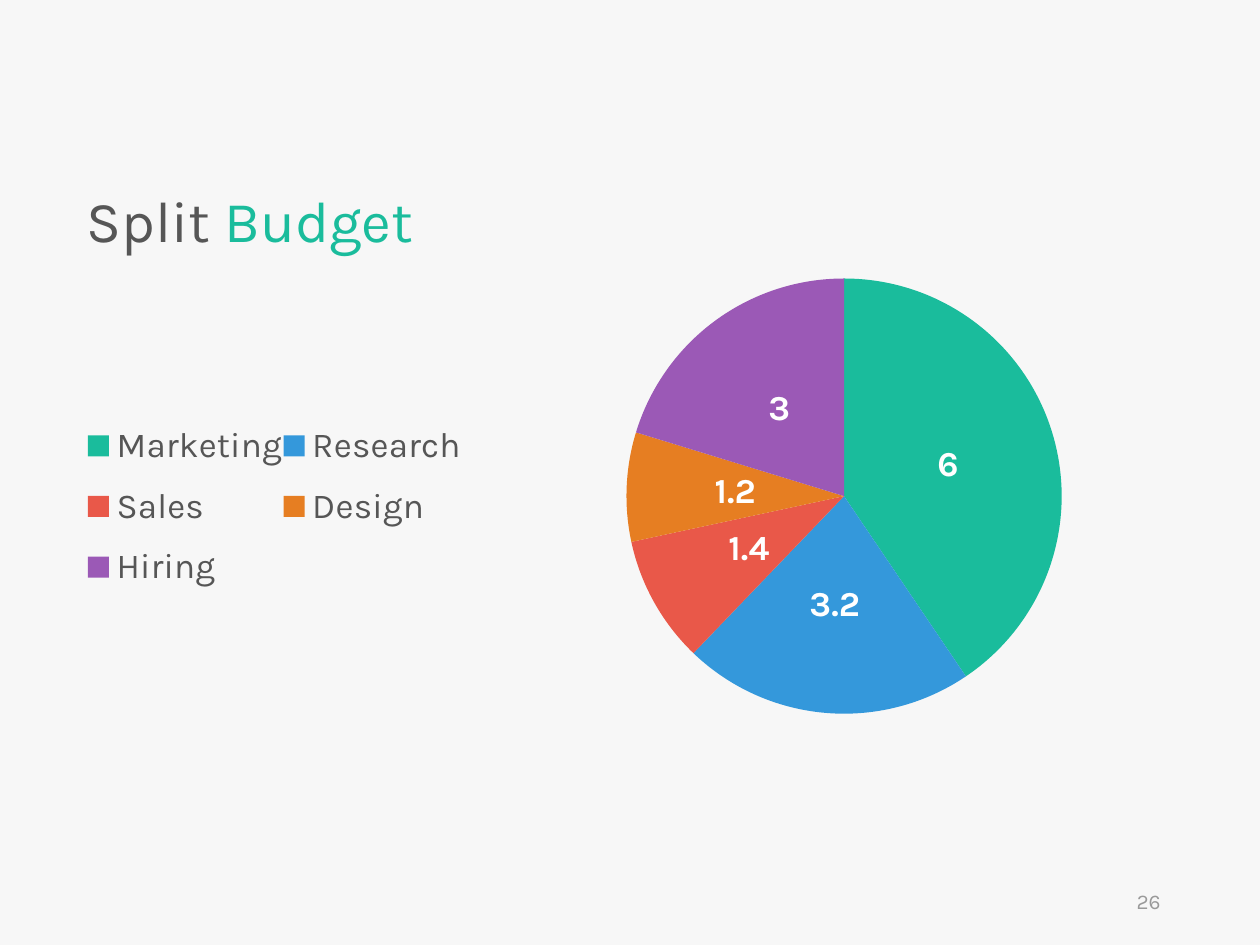
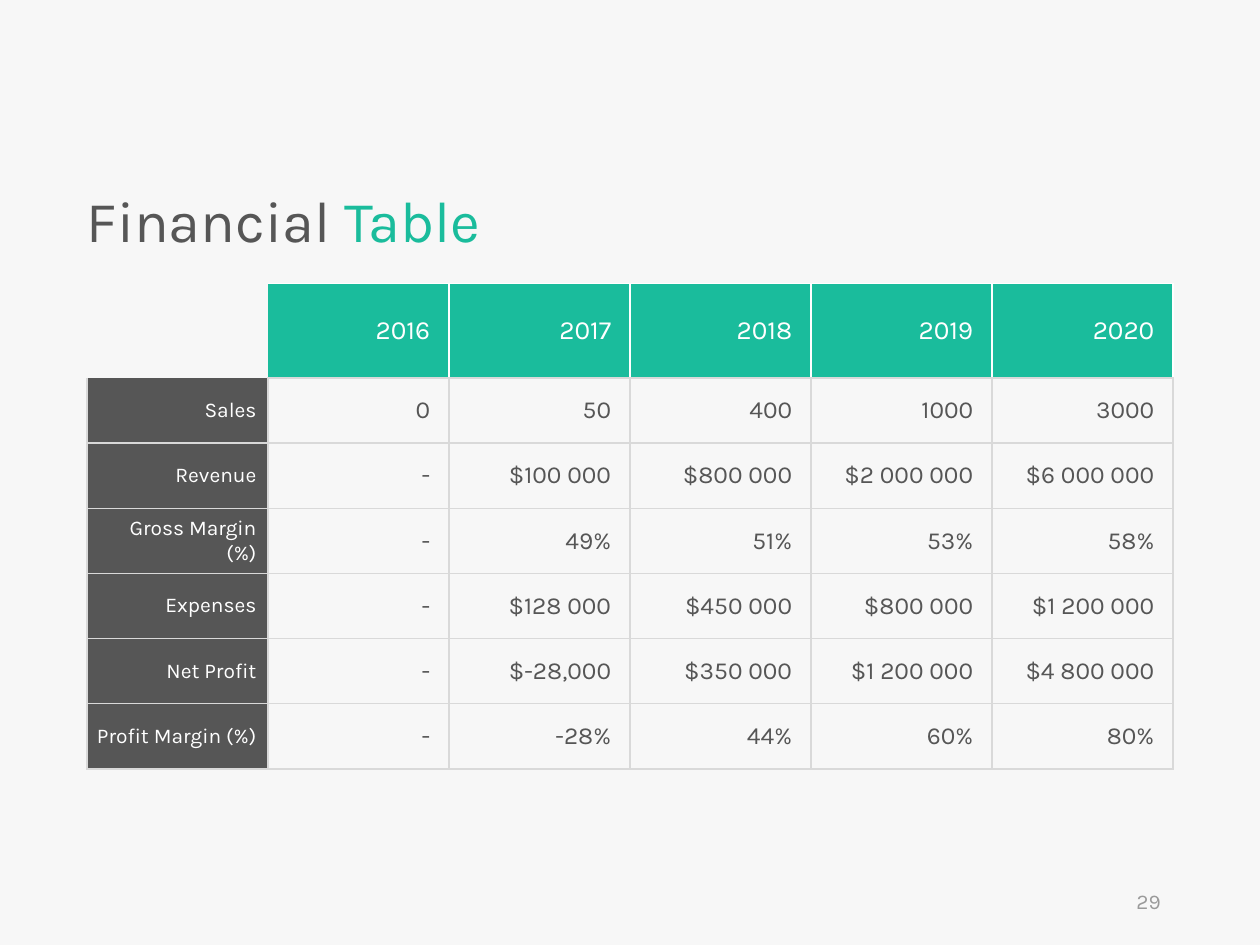
from lxml import etree
from pptx import Presentation
from pptx.chart.data import CategoryChartData
from pptx.dml.color import RGBColor
from pptx.enum.chart import XL_CHART_TYPE, XL_LABEL_POSITION, XL_LEGEND_POSITION
from pptx.enum.text import MSO_ANCHOR, MSO_AUTO_SIZE, PP_ALIGN
from pptx.oxml.ns import qn
from pptx.util import Cm, Pt

PIE = XL_CHART_TYPE.PIE
LABEL_CENTER = XL_LABEL_POSITION.CENTER
LEGEND_BOTTOM = XL_LEGEND_POSITION.BOTTOM
MIDDLE = MSO_ANCHOR.MIDDLE
GROW = MSO_AUTO_SIZE.SHAPE_TO_FIT_TEXT
RIGHT = PP_ALIGN.RIGHT

FONT = "Karla"
COLORS = {
    "background": "F7F7F7",
    "text": "565656",
    "accent": "1ABC9C",
    "blue": "3498DB",
    "red": "E95849",
    "orange": "E67E22",
    "purple": "9B59B6",
    "white": "FFFFFF",
    "grid": "D9D9D9",
    "page": "9A9A9A",
}

# Boxes: left, top, width, height in centimetres
TITLE_BOX = (1.75, 3.76, 9.35, 1.52)
PAGE_BOX = (17.93, 17.65, 5.72, 1.02)
CHART_BOX = (1.75, 5.61, 23.65, 10.11)
TABLE_BOX = (1.75, 5.72, 21.9, 9.78)
HEADER_HEIGHT = 1.9

# Fractions of the chart box: x, y, width, height
PLOT_LAYOUT = (0.46, 0, 0.371, 0.869)
LEGEND_LAYOUT = (0, 0.255, 0.32, 0.4)

BUDGET = [
    ("Marketing", 6, "accent"),
    ("Research", 3.2, "blue"),
    ("Sales", 1.4, "red"),
    ("Design", 1.2, "orange"),
    ("Hiring", 3, "purple"),
]

FINANCES = [
    ["", "2016", "2017", "2018", "2019", "2020"],
    ["Sales", "0", "50", "400", "1000", "3000"],
    ["Revenue", "-", "$100 000", "$800 000", "$2 000 000", "$6 000 000"],
    ["Gross Margin (%)", "-", "49%", "51%", "53%", "58%"],
    ["Expenses", "-", "$128 000", "$450 000", "$800 000", "$1 200 000"],
    ["Net Profit", "-", "$-28,000", "$350 000", "$1 200 000", "$4 800 000"],
    ["Profit Margin (%)", "-", "-28%", "44%", "60%", "80%"],
]


def rgb(name):
    return RGBColor.from_string(COLORS[name])


def set_values(target, values):
    for name, value in values.items():
        setattr(target, name, value)


def set_font(font, size, color, bold=False):
    set_values(font, {"name": FONT, "size": Pt(size), "bold": bold})
    font.color.rgb = rgb(color)


def add_text(slide, box, parts, size, frame_format, paragraph_format):
    """Add a one-paragraph text box; parts are (text, colour) pairs."""
    shape = slide.shapes.add_textbox(*map(Cm, box))
    set_values(shape.text_frame, {"word_wrap": True, **frame_format})
    paragraph = shape.text_frame.paragraphs[0]
    set_values(paragraph, paragraph_format)
    for text, color in parts:
        run = paragraph.add_run()
        run.text = text
        set_font(run.font, size, color)


def add_base_slide(presentation, title, accent, page):
    """Blank slide with background, two-colour title and page number."""
    slide = presentation.slides.add_slide(presentation.slide_layouts[6])
    slide.background.fill.solid()
    slide.background.fill.fore_color.rgb = rgb("background")
    add_text(slide, TITLE_BOX, [(title + " ", "text"), (accent, "accent")], 33,
             {"margin_left": 0, "auto_size": GROW},
             {"line_spacing": 0.9, "space_before": Pt(10)})
    add_text(slide, PAGE_BOX, [(page, "page")], 12,
             {"vertical_anchor": MIDDLE}, {"alignment": RIGHT})
    return slide


def set_layout(element, fractions, inner=False):
    """Give a plot area or legend a fixed place inside the chart."""
    for old in element.findall(qn("c:layout")):
        element.remove(old)
    layout = etree.Element(qn("c:layout"))
    manual = etree.SubElement(layout, qn("c:manualLayout"))
    settings = [("layoutTarget", "inner")] if inner else []
    settings += [("xMode", "edge"), ("yMode", "edge")]
    settings += zip("xywh", fractions)
    for tag, value in settings:
        etree.SubElement(manual, qn("c:" + tag)).set("val", str(value))
    position = element.find(qn("c:legendPos"))
    if position is None:
        element.insert(0, layout)
    else:
        position.addnext(layout)


def add_budget_pie(slide, box):
    data = CategoryChartData()
    data.categories = [name for name, _, _ in BUDGET]
    data.add_series("Series 1", [value for _, value, _ in BUDGET])
    chart = slide.shapes.add_chart(PIE, *map(Cm, box), data).chart
    set_values(chart, {"has_title": False, "has_legend": True})
    set_font(chart.font, 10, "text")

    # Legend to the left of the pie
    set_values(chart.legend, {"position": LEGEND_BOTTOM, "include_in_layout": False})
    set_font(chart.legend.font, 20, "text")
    plot_area = chart.plots[0]._element.getparent()
    set_layout(plot_area, PLOT_LAYOUT, inner=True)
    set_layout(chart.legend._element, LEGEND_LAYOUT)

    # Slices and their values
    plot = chart.plots[0]
    plot.vary_by_categories = True
    for index, (_, _, color) in enumerate(BUDGET):
        slice_format = plot.series[0].points[index].format
        slice_format.fill.solid()
        slice_format.fill.fore_color.rgb = rgb(color)
        slice_format.line.fill.background()
    labels = plot.series[0].data_labels
    set_values(labels, {"show_value": True, "position": LABEL_CENTER})
    set_font(labels.font, 20, "white", bold=True)


def set_borders(cell, edges):
    """Draw the four edges, in the order L, R, T, B; None hides an edge."""
    properties = cell._tc.get_or_add_tcPr()
    for index, (side, color) in enumerate(zip("LRTB", edges)):
        line = etree.Element(qn("a:ln" + side), w=str(Pt(1)))
        if color:
            fill = etree.SubElement(line, qn("a:solidFill"))
            etree.SubElement(fill, qn("a:srgbClr")).set("val", COLORS[color])
        else:
            etree.SubElement(line, qn("a:noFill"))
        properties.insert(index, line)


def cell_style(row, column):
    """Return fill, text colour, text size, right margin and edges."""
    if row == 0 and column == 0:
        return None, "text", 14, 0.38, (None, None, None, None)
    if row == 0:
        left = "white" if column > 1 else None
        return "accent", "white", 15, 0.38, (left, "white", "white", "grid")
    if column == 0:
        top = "grid" if row > 1 else None
        return "text", "white", 12, 0.23, ("grid", "grid", top, "grid")
    return None, "text", 14, 0.38, ("grid",) * 4


def add_finance_table(slide, box):
    rows, columns = len(FINANCES), len(FINANCES[0])
    width, height = box[2:]
    table = slide.shapes.add_table(rows, columns, *map(Cm, box)).table
    set_values(table, {"first_row": False, "horz_banding": False})
    for column in table.columns:
        column.width = Cm(width / columns)
    for index, row in enumerate(table.rows):
        row.height = Cm((height - HEADER_HEIGHT) / (rows - 1) if index else HEADER_HEIGHT)

    for row, texts in enumerate(FINANCES):
        for column, text in enumerate(texts):
            fill, color, size, margin, edges = cell_style(row, column)
            cell = table.cell(row, column)
            set_values(cell, {
                "vertical_anchor": MIDDLE,
                "margin_left": Cm(0.18),
                "margin_right": Cm(margin),
                "margin_top": Cm(0.1),
                "margin_bottom": Cm(0.1),
            })
            if fill:
                cell.fill.solid()
                cell.fill.fore_color.rgb = rgb(fill)
            else:
                cell.fill.background()
            set_borders(cell, edges)
            if text:
                paragraph = cell.text_frame.paragraphs[0]
                paragraph.alignment = RIGHT
                run = paragraph.add_run()
                run.text = text
                set_font(run.font, size, color)


presentation = Presentation()
set_values(presentation, {"slide_width": Cm(25.4), "slide_height": Cm(19.05)})

add_budget_pie(add_base_slide(presentation, "Split", "Budget", "26"), CHART_BOX)
add_finance_table(add_base_slide(presentation, "Financial", "Table", "29"), TABLE_BOX)

presentation.save("out.pptx")
